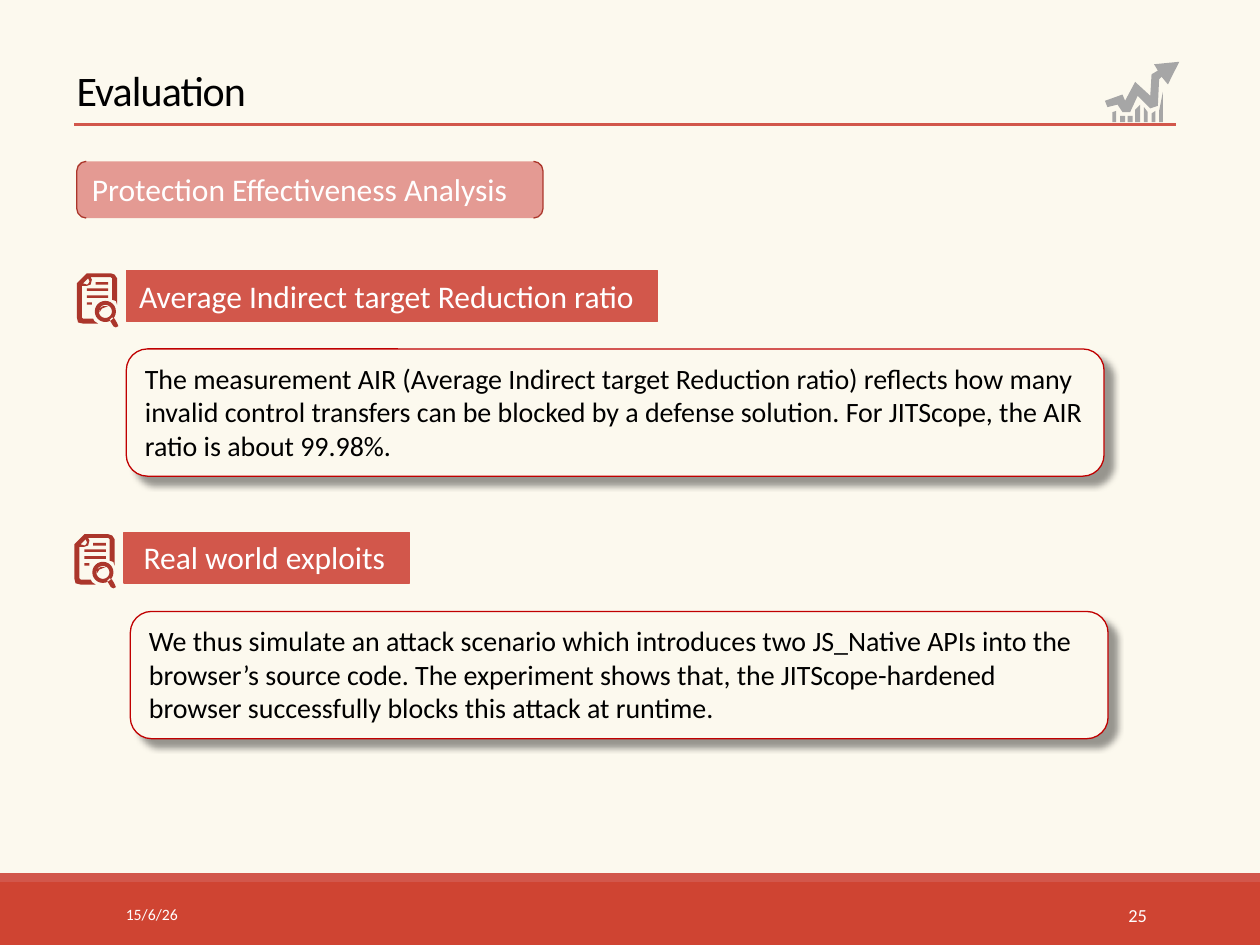
import math
import pptx
import pptx.util
import pptx.dml.color
import pptx.enum.shapes
import pptx.enum.text
import pptx.oxml
import pptx.oxml.ns

Pt = pptx.util.Pt
KIND = pptx.enum.shapes.MSO_SHAPE
ALIGN = pptx.enum.text.PP_ALIGN
ANCHOR = pptx.enum.text.MSO_ANCHOR

FONT = "Calibri"
CREAM, BRICK, ROSE, DARK = "FCF9EE", "CF4432", "D2574B", "AB362B"
PINK, EDGE, GREY, WHITE, BLACK = "E49A93", "C00000", "A6A6A6", "FFFFFF", "000000"

# left, top, width, height
BARS = [((0, 504, 720, 36), BRICK), ((0, 499, 720, 5), ROSE)]
TOPIC = ("Protection Effectiveness Analysis", (43.9, 92.2, 266.4, 32.4))

# heading, its box, left inset, icon corner, body, its box
PARTS = [
    ("Average Indirect target Reduction ratio", (72.4, 154.6, 303.3, 29.1), 7.2,
     (43.9, 156.2),
     "The measurement AIR (Average Indirect target Reduction ratio) reflects how many "
     "invalid control transfers can be blocked by a defense solution. For JITScope, "
     "the AIR ratio is about 99.98%.", (72.2, 199.4, 558.7, 72.7)),
    ("Real world exploits", (70.9, 304.1, 163.1, 29.1), 11.2,
     (42.5, 305.3),
     "We thus simulate an attack scenario which introduces two JS_Native APIs into the "
     "browser’s source code. The experiment shows that, the JITScope-hardened browser "
     "successfully blocks this attack at runtime.", (74.5, 349.4, 558.7, 72.7)),
]

# Icon outlines, in steps of GRID points from the icon corner
GRID = 0.72
PAGE = [(8, 0), (27, 0), (30, 1), (32, 4), (32, 25), (31, 22), (28, 21), (28, 4),
        (27, 3), (11, 3), (12, 5), (11, 9), (8, 10), (4, 10), (4, 35), (5, 36),
        (13, 36), (14, 38), (17, 40), (5, 40), (1, 39), (0, 35), (0, 8)]
FOLD = [(9, 4), (5, 8), (8, 9), (9, 8.5), (10, 7), (10, 6)]
GLINT = [(18, 31), (20, 28), (25, 26), (21, 26), (18, 28)]
HANDLE = [(26, 37), (29, 42), (31, 43), (33, 42), (32, 39.5), (30, 36), (28, 35)]
ROWS = [(15, 7, 25), (8, 12, 25), (8, 17.5, 25), (8, 23, 12)]  # left, top, right
LENS = (22.7, 30.3)

TREND = [(59, 0), (54, 10), (50, 18), (45, 12), (43, 14), (42, 35), (36, 37), (26, 27),
         (20, 40), (14, 40), (10, 34), (2, 36), (0, 31), (14, 26), (16, 31), (24, 16),
         (36, 27), (37, 10), (42, 7), (39, 2)]
TALL = [(6, 9, 40, 39), (12, 16, 43, 43), (18, 22, 43, 43), (24, 28, 38, 34),
        (31, 34, 36, 40), (37, 40, 41, 39), (43, 46, 39, 24)]  # left, right, two tops


def paint(item, tint):
    item.solid()
    item.fore_color.rgb = pptx.dml.color.RGBColor.from_string(tint)


def write(shape, text, size, tint, anchor=ANCHOR.TOP, align=ALIGN.LEFT, inset=7.2):
    frame = shape.text_frame
    frame.word_wrap = True
    frame.vertical_anchor = anchor
    frame.margin_left = Pt(inset)
    par = frame.paragraphs[0]
    par.alignment = align
    run = par.add_run()
    run.text = text
    run.font.size = Pt(size)
    run.font.name = FONT
    paint(run.font.fill, tint)
    return par, run


def block(kind, box, fill, edge=None):
    shape = slide.shapes.add_shape(kind, *map(Pt, box))
    shape.shadow.inherit = False
    paint(shape.fill, fill)
    if edge:
        paint(shape.line.fill, edge)
        shape.line.width = Pt(0.75)
    else:
        shape.line.fill.background()
    return shape


def label(box, *args, **more):
    return write(slide.shapes.add_textbox(*map(Pt, box)), *args, **more)


def cast(shape):
    """Give the shape a soft shadow down to the right."""
    list_ = shape._element.spPr.find(pptx.oxml.ns.qn("a:effectLst"))
    list_.append(pptx.oxml.parse_xml(
        f'<a:outerShdw {pptx.oxml.ns.nsdecls("a")} blurRad="{Pt(4)}" dist="{Pt(6)}" '
        'dir="2700000" algn="tl" rotWithShape="0"><a:srgbClr val="000000">'
        '<a:alpha val="40000"/></a:srgbClr></a:outerShdw>'))


def ring(radius, count=24):
    turns = [2 * math.pi * i / count for i in range(count)]
    return [(LENS[0] + radius * math.cos(t), LENS[1] + radius * math.sin(t)) for t in turns]


def icon(loops, corner, tint):
    pen = None
    for loop in loops:
        first, *rest = [(x * 100, y * 100) for x, y in loop]
        if pen is None:
            pen = slide.shapes.build_freeform(*first, scale=Pt(GRID) / 100)
        else:
            pen.move_to(*first)
        pen.add_line_segments(rest, close=True)
    shape = pen.convert_to_shape(*map(Pt, corner))
    shape.shadow.inherit = False
    paint(shape.fill, tint)
    shape.line.fill.background()


deck = pptx.Presentation()
deck.slide_width, deck.slide_height = Pt(720), Pt(540)
slide = deck.slides.add_slide(deck.slide_layouts[6])
paint(slide.background.fill, CREAM)

for box, tint in BARS:
    block(KIND.RECTANGLE, box, tint)
label((64.8, 508.3, 146.2, 28.8), "15/6/26", 9, WHITE, ANCHOR.MIDDLE)
label((584.6, 508.3, 77.8, 28.8), "25", 10.5, WHITE, ANCHOR.MIDDLE, ALIGN.RIGHT)

par, run = label((36.7, 25.9, 540, 43.2), "Evaluation", 24, BLACK, ANCHOR.BOTTOM)
par.line_spacing = 0.85
run._r.get_or_add_rPr().set("spc", "-50")

rule = slide.shapes.add_connector(pptx.enum.shapes.MSO_CONNECTOR.STRAIGHT,
                                  Pt(42.5), Pt(71.3), Pt(671.8), Pt(71.3))
paint(rule.line.fill, ROSE)
rule.line.width = Pt(1.5)
rule._element.spPr.append(pptx.oxml.parse_xml(
    f'<a:effectLst {pptx.oxml.ns.nsdecls("a")}/>'))

write(block(KIND.DOUBLE_BRACKET, TOPIC[1], PINK, DARK), TOPIC[0], 18, WHITE)
bars = [[(l, 48), (r, 48), (r, right), (l, left)] for l, r, left, right in TALL]
icon([TREND] + bars, (631.4, 35.3), GREY)

lines = [[(l, t), (r, t), (r, t + 2), (l, t + 2)] for l, t, r in ROWS]
sheet = [PAGE, FOLD, GLINT, HANDLE, ring(8.4), ring(5.2)] + lines
for head, spot, inset, corner, body, box in PARTS:
    card = block(KIND.ROUNDED_RECTANGLE, box, CREAM, EDGE)
    cast(card)
    write(card, body, 16, BLACK)
    icon(sheet, corner, DARK)
    write(block(KIND.RECTANGLE, spot, ROSE, ROSE), head, 18, WHITE, inset=inset)

deck.save("out.pptx")
